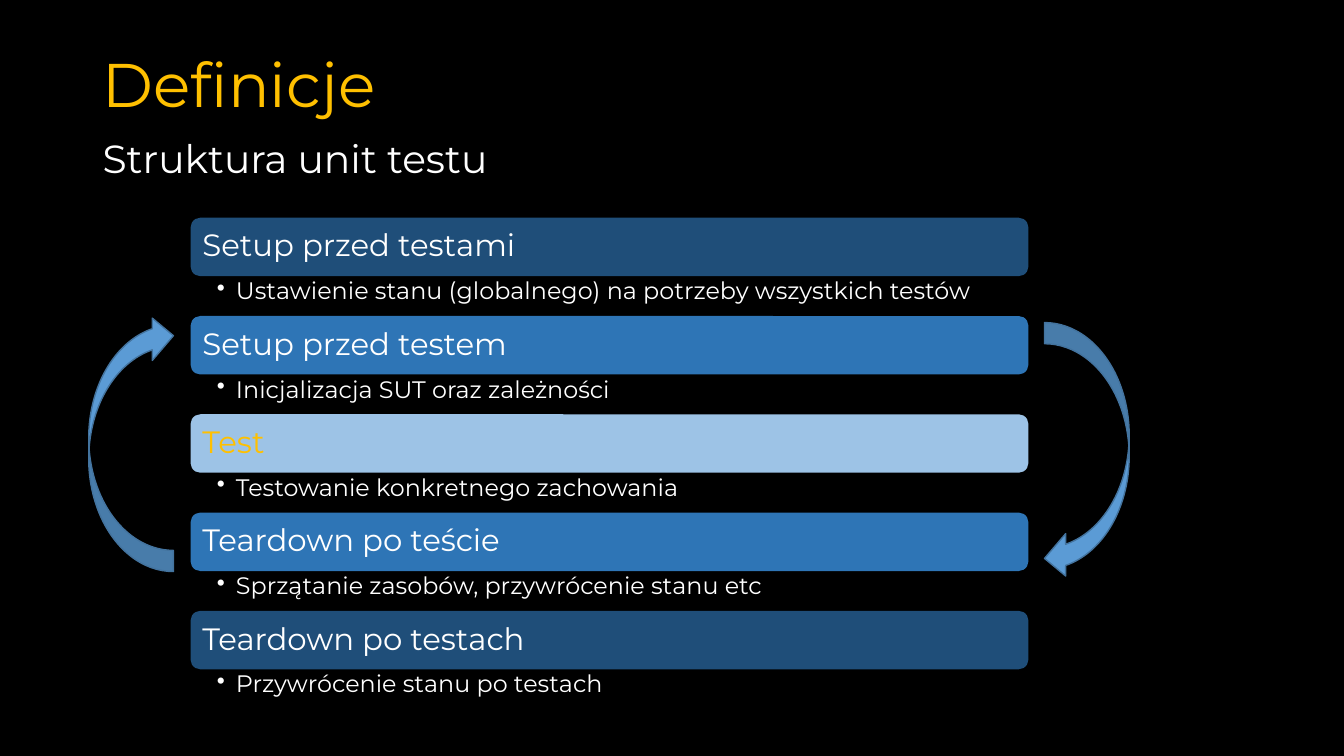
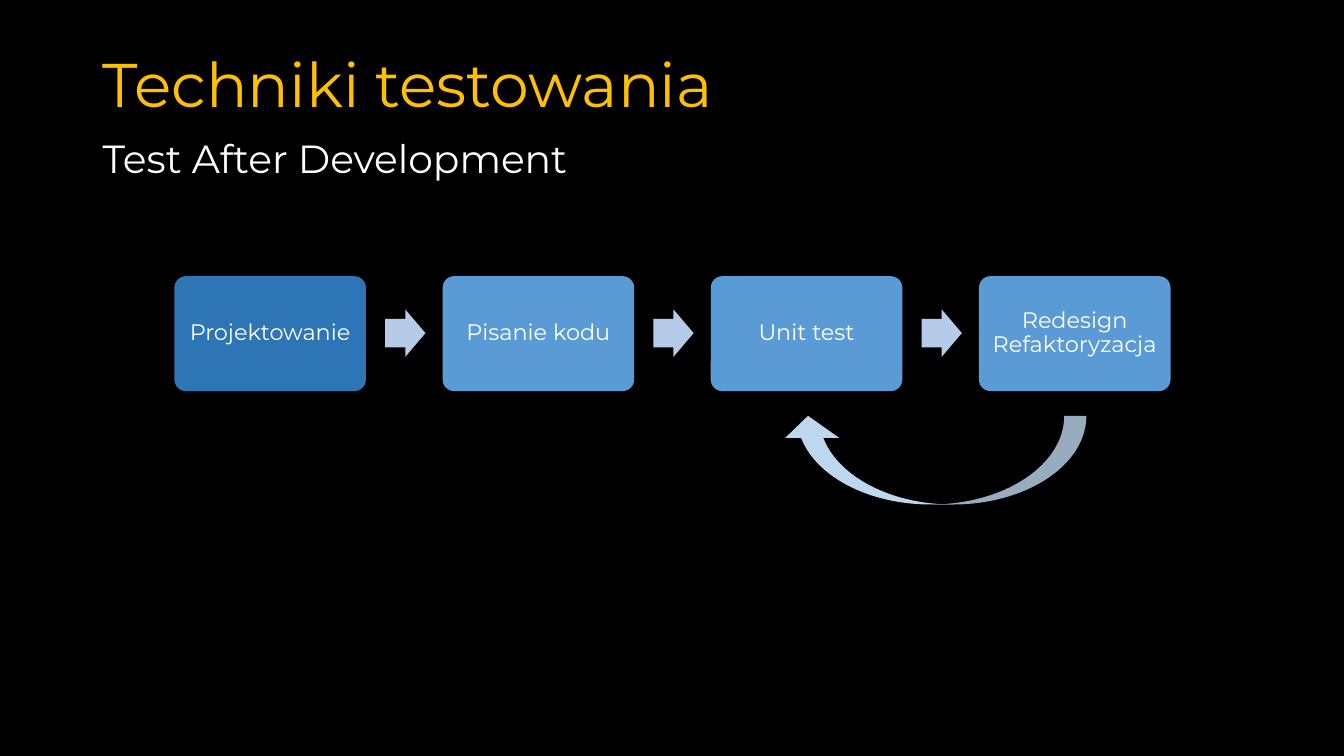
import pptx
import pptx.dml.color
import pptx.enum.shapes
import pptx.enum.text
import pptx.oxml
import pptx.oxml.ns
import pptx.util

Inches = pptx.util.Inches
Pt = pptx.util.Pt
Shape = pptx.enum.shapes.MSO_SHAPE
Align = pptx.enum.text.PP_ALIGN
Anchor = pptx.enum.text.MSO_ANCHOR

FONT = "Montserrat"
BLACK = "000000"
WHITE = "FFFFFF"
GOLD = "FFC000"
NAVY = "1F4E79"
BLUE = "2E75B6"
SKY = "5B9BD5"
PALE = "9DC3E6"
ARROW_EDGE = "43739E"
STEP_ARROW = "B5CBE7"
LOOP_ARROW = "BDD7EE"


def color(value):
    return pptx.dml.color.RGBColor.from_string(value)


class SlideBuilder:
    def __init__(self):
        self.deck = pptx.Presentation()
        self.deck.slide_width = Inches(13.33)
        self.deck.slide_height = Inches(7.5)
        background = self.deck.slide_master.background.fill
        background.solid()
        background.fore_color.rgb = color(BLACK)
        self.slide = None

    def add_slide(self, title, subtitle):
        self.slide = self.deck.slides.add_slide(self.deck.slide_layouts[6])
        self.add_text(title, 0.92, 0.4, 11.5, 0.94, 44, GOLD, anchor=Anchor.MIDDLE)
        para = self.add_text(subtitle, 0.92, 1.34, 11.5, 0.58, 28)
        para.space_before = Pt(10)

    def set_text(self, shape, text, size, text_color=WHITE, align=Align.LEFT,
                 anchor=Anchor.TOP, insets=(0.1, 0.05, 0.1, 0.05)):
        frame = shape.text_frame
        left, top, right, bottom = map(Inches, insets)
        frame_format = {
            "word_wrap": True,
            "vertical_anchor": anchor,
            "margin_left": left,
            "margin_top": top,
            "margin_right": right,
            "margin_bottom": bottom,
        }
        for name, value in frame_format.items():
            setattr(frame, name, value)
        para = frame.paragraphs[0]
        para.alignment = align
        para.line_spacing = 0.9
        span = para.add_run()
        span.text = text
        for name, value in {"name": FONT, "size": Pt(size)}.items():
            setattr(span.font, name, value)
        span.font.color.rgb = color(text_color)
        return para

    def add_text(self, text, left, top, width, height, size, text_color=WHITE, **layout):
        box = self.slide.shapes.add_textbox(
            Inches(left), Inches(top), Inches(width), Inches(height))
        return self.set_text(box, text, size, text_color, **layout)

    def add_bullet(self, text, left, top, width, height, size):
        para = self.add_text(text, left, top, width, height, size,
                             insets=(0.26, 0.03, 0.17, 0.03))
        properties = para._p.get_or_add_pPr()
        indent = Inches(0.19)
        for name, value in {"marL": indent, "indent": -indent}.items():
            properties.set(name, str(value))
        properties.append(pptx.oxml.parse_xml(
            f'<a:buChar {pptx.oxml.ns.nsdecls("a")} char="•"/>'))

    def add_shape(self, kind, left, top, width, height, fill,
                  line=None, rotation=0, adjustments=()):
        shape = self.slide.shapes.add_shape(
            kind, Inches(left), Inches(top), Inches(width), Inches(height))
        shape.shadow.inherit = False
        shape.rotation = rotation
        for index, value in enumerate(adjustments):
            shape.adjustments[index] = value
        shape.fill.solid()
        shape.fill.fore_color.rgb = color(fill)
        if line:
            shape.line.color.rgb = color(line)
            shape.line.width = Pt(1)
        else:
            shape.line.fill.background()
        return shape


def build_structure(builder):
    builder.add_slide("Definicje", "Struktura unit testu")
    stages = [
        ("Setup przed testami", NAVY, WHITE,
         "Ustawienie stanu (globalnego) na potrzeby wszystkich testów"),
        ("Setup przed testem", BLUE, WHITE, "Inicjalizacja SUT oraz zależności"),
        ("Test", PALE, GOLD, "Testowanie konkretnego zachowania"),
        ("Teardown po teście", BLUE, WHITE, "Sprzątanie zasobów, przywrócenie stanu etc"),
        ("Teardown po testach", NAVY, WHITE, "Przywrócenie stanu po testach"),
    ]
    left, width, bar_height = 1.89, 8.31, 0.58
    first_top, last_top = 2.16, 6.06
    pitch = (last_top - first_top) / (len(stages) - 1)
    for index, (heading, fill, text_color, detail) in enumerate(stages):
        top = first_top + index * pitch
        bar = builder.add_shape(Shape.ROUNDED_RECTANGLE, left, top, width, bar_height, fill)
        builder.set_text(bar, heading, 22, text_color, anchor=Anchor.MIDDLE,
                         insets=(0.09,) * 4)
        builder.add_bullet(detail, left, top + bar_height, width, 0.4, 17)
    for arrow_left, arrow_top, rotation in [(10.36, 3.2, 0), (0.88, 3.12, 180)]:
        builder.add_shape(Shape.CURVED_LEFT_ARROW, arrow_left, arrow_top, 0.84, 2.55,
                          SKY, ARROW_EDGE, rotation)


def build_technique(builder):
    builder.add_slide("Techniki testowania", "Test After Development")
    steps = [
        ("Projektowanie", BLUE),
        ("Pisanie kodu", SKY),
        ("Unit test", SKY),
        ("Redesign Refaktoryzacja", SKY),
    ]
    first_left, pitch = 1.73, 2.66
    for index, (label, fill) in enumerate(steps):
        left = first_left + index * pitch
        if index:
            builder.add_shape(Shape.RIGHT_ARROW, left - 0.57, 3.07, 0.4, 0.47,
                              STEP_ARROW, adjustments=(0.6, 0.5))
        step = builder.add_shape(Shape.ROUNDED_RECTANGLE, left, 2.74, 1.9, 1.14,
                                 fill, adjustments=(0.1,))
        builder.set_text(step, label, 16, align=Align.CENTER, anchor=Anchor.MIDDLE,
                         insets=(0.07,) * 4)
    builder.add_shape(Shape.CURVED_LEFT_ARROW, 8.82, 3.05, 0.88, 3.03, LOOP_ARROW,
                      rotation=90, adjustments=(0.25, 0.61, 0.25))


def main():
    builder = SlideBuilder()
    build_structure(builder)
    build_technique(builder)
    builder.deck.save("out.pptx")


if __name__ == "__main__":
    main()
